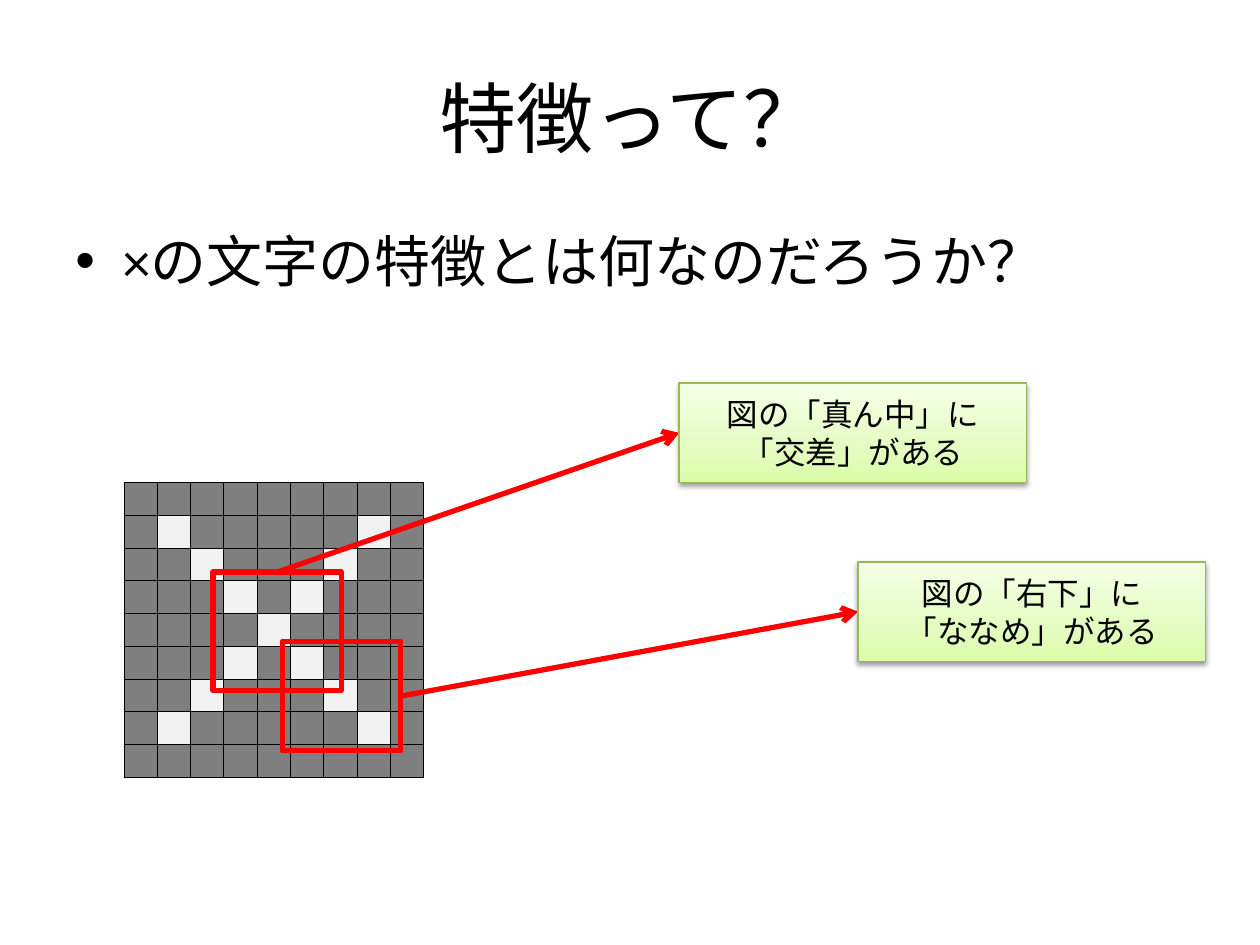
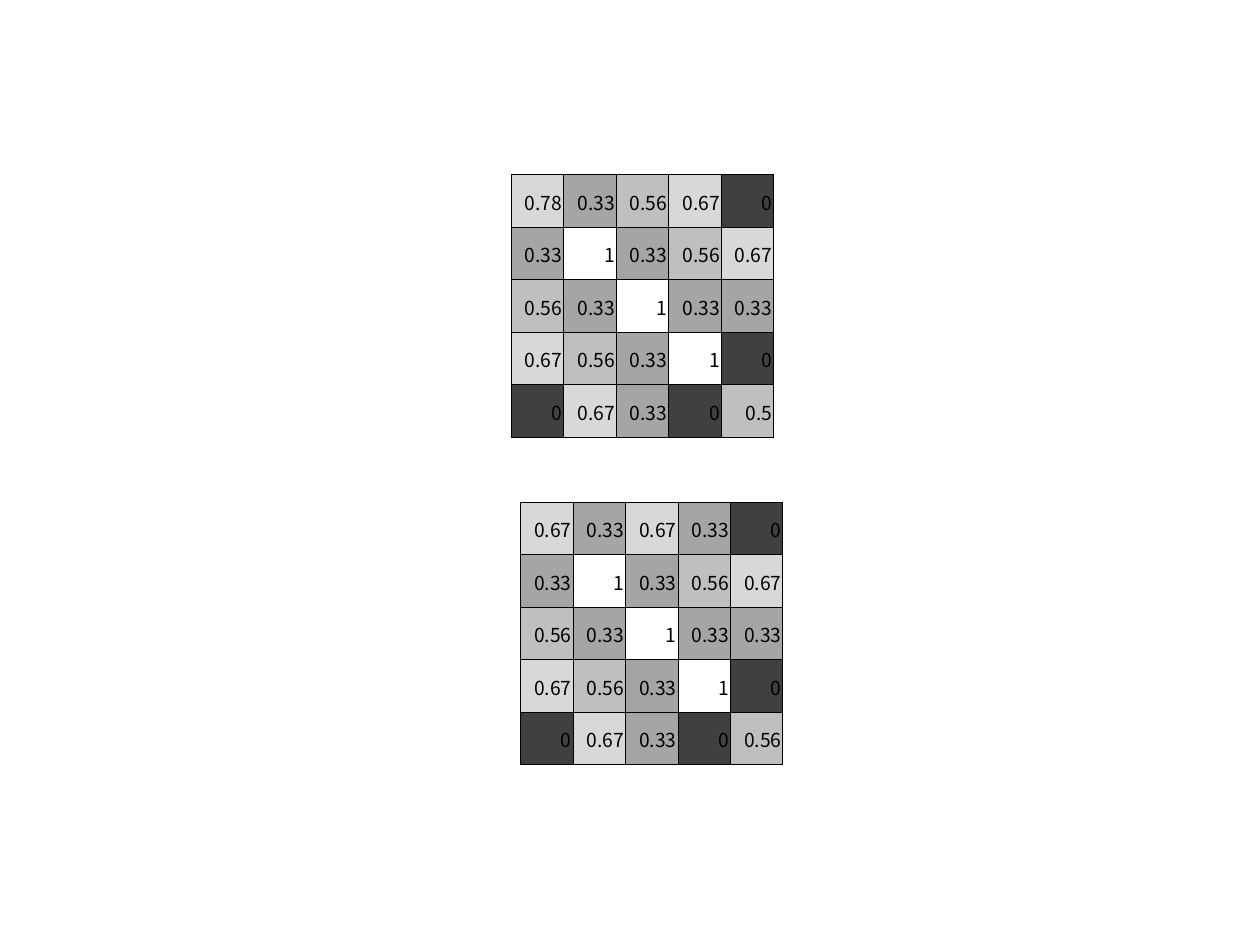
"""Builds two slides on the features of the letter × and its feature maps."""
from lxml import etree
from pptx import Presentation
from pptx.dml.color import RGBColor
from pptx.enum.shapes import MSO_CONNECTOR, MSO_SHAPE
from pptx.enum.text import MSO_ANCHOR, PP_ALIGN
from pptx.oxml.ns import qn
from pptx.util import Pt

STRAIGHT = MSO_CONNECTOR.STRAIGHT
RECTANGLE = MSO_SHAPE.RECTANGLE
MIDDLE = MSO_ANCHOR.MIDDLE
LEFT, CENTER, RIGHT = PP_ALIGN.LEFT, PP_ALIGN.CENTER, PP_ALIGN.RIGHT
TOP_SIDE, LEFT_SIDE, RIGHT_SIDE = 0, 1, 3

BLACK = RGBColor(0x00, 0x00, 0x00)
RED = RGBColor(0xFF, 0x00, 0x00)
GREEN_EDGE = RGBColor(0x98, 0xB9, 0x55)
INK = RGBColor(0xF2, 0xF2, 0xF2)
PAPER = RGBColor(0x7F, 0x7F, 0x7F)
DARK = RGBColor(0x40, 0x40, 0x40)
GRAY = RGBColor(0xA5, 0xA5, 0xA5)
SILVER = RGBColor(0xBF, 0xBF, 0xBF)
PALE = RGBColor(0xD8, 0xD8, 0xD8)
GREEN_STOPS = [
    (0, RGBColor(0xDA, 0xFD, 0xA7)),
    (35000, RGBColor(0xE4, 0xFC, 0xC2)),
    (100000, RGBColor(0xF5, 0xFF, 0xE7)),
]
SCORE_FILLS = {"0": DARK, "0.33": GRAY, "0.5": SILVER, "0.56": SILVER,
               "0.67": PALE, "0.78": PALE, "1": None}
TEXT_FONT, SCORE_FONT = "Calibri", "Noto Sans CJK JP"


def add_text(frame, lines, size, align, font=TEXT_FONT):
    frame.text = "\n".join(lines)
    for para in frame.paragraphs:
        para.alignment = align
        para.font.size = Pt(size)
        para.font.name = font
        para.font.color.rgb = BLACK


def add_grid(page, left, top, width, height, cells):
    count = len(cells)
    table = page.shapes.add_table(count, count, Pt(left), Pt(top), Pt(width), Pt(height)).table
    table.first_row = table.horz_banding = False
    for row, row_cells in enumerate(cells):
        table.rows[row].height = Pt(height / count)
        table.columns[row].width = Pt(width / count)
        for column, (label, fill) in enumerate(row_cells):
            cell = table.cell(row, column)
            cell.vertical_anchor = MIDDLE
            cell.margin_left = cell.margin_right = cell.margin_top = Pt(0.75)
            cell.margin_bottom = Pt(0)
            if label:
                add_text(cell.text_frame, [label], 11, RIGHT, SCORE_FONT)
            else:
                etree.SubElement(cell.text_frame.paragraphs[0]._p, qn("a:endParaRPr"), sz="800")
            properties = cell._tc.get_or_add_tcPr()
            for side in ("a:lnL", "a:lnR", "a:lnT", "a:lnB"):
                border = etree.SubElement(properties, qn(side), w=str(Pt(0.5)))
                solid = etree.SubElement(border, qn("a:solidFill"))
                etree.SubElement(solid, qn("a:srgbClr"), val=str(BLACK))
            if fill is None:
                cell.fill.background()
            else:
                cell.fill.solid()
                cell.fill.fore_color.rgb = fill


deck = Presentation()
deck.slide_width, deck.slide_height = Pt(720), Pt(540)
blank = deck.slide_layouts[6]

page = deck.slides.add_slide(blank)
title = page.shapes.add_textbox(Pt(36), Pt(21.6), Pt(648), Pt(90)).text_frame
title.word_wrap = True
title.vertical_anchor = MIDDLE
add_text(title, ["特徴って？"], 44, CENTER)

body = page.shapes.add_textbox(Pt(36), Pt(126), Pt(648), Pt(356.4)).text_frame
body.word_wrap = True
add_text(body, ["×の文字の特徴とは何なのだろうか？"], 32, LEFT)
question = body.paragraphs[0]
question.space_before = Pt(6.4)
properties = question._p.get_or_add_pPr()
properties.set("marL", str(Pt(27)))
properties.set("indent", str(Pt(-27)))
bullet_font = etree.Element(qn("a:buFont"), typeface="Arial")
bullet = etree.Element(qn("a:buChar"), char="•")
default_font = properties.find(qn("a:defRPr"))
default_font.addprevious(bullet_font)
default_font.addprevious(bullet)

letter = [[("", INK if 0 < row < 8 and column in (row, 8 - row) else PAPER)
           for column in range(9)] for row in range(9)]
add_grid(page, 70.8, 275.8, 171.4, 168.6, letter)

features = [
    ((121.7, 326.9, 73.4, 67.7), TOP_SIDE, (388.1, 218.9), ["図の「真ん中」に", "「交差」がある"]),
    ((161.3, 366.5, 67.7, 62.6), RIGHT_SIDE, (490.3, 321.1), ["図の「右下」に", "「ななめ」がある"]),
]
frames = []
for bounds, *_ in features:
    frame = page.shapes.add_shape(RECTANGLE, *map(Pt, bounds))
    frame.shadow.inherit = False
    frame.fill.background()
    frame.line.color.rgb = RED
    frame.line.width = Pt(3)
    frames.append(frame)

arrows = []
for frame, (_, side, (left, top), _) in zip(frames, features):
    arrow = page.shapes.add_connector(STRAIGHT, frame.left, frame.top, Pt(left), Pt(top))
    arrow.begin_connect(frame, side)
    arrow.line.color.rgb = RED
    arrow.line.width = Pt(3)
    etree.SubElement(arrow.line._get_or_add_ln(), qn("a:tailEnd"), type="arrow")
    etree.SubElement(arrow._element.spPr, qn("a:effectLst"))
    arrows.append(arrow)

for arrow, (_, _, (left, top), lines) in zip(arrows, features):
    callout = page.shapes.add_shape(RECTANGLE, Pt(left), Pt(top), Pt(198.7), Pt(56.9))
    callout.fill.gradient()
    callout.fill.gradient_angle = 90
    stops = callout._element.spPr.find(".//" + qn("a:gsLst"))
    for stop in list(stops):
        stops.remove(stop)
    for position, color in GREEN_STOPS:
        stop = etree.SubElement(stops, qn("a:gs"), pos=str(position))
        etree.SubElement(stop, qn("a:srgbClr"), val=str(color))
    callout.line.color.rgb = GREEN_EDGE
    callout.line.width = Pt(0.75)
    callout.shadow.inherit = False
    effects = callout._element.spPr.find(qn("a:effectLst"))
    shadow = etree.SubElement(effects, qn("a:outerShdw"), blurRad=str(Pt(3.1)),
                              dist=str(Pt(1.6)), dir="5400000", rotWithShape="0")
    shade = etree.SubElement(shadow, qn("a:srgbClr"), val=str(BLACK))
    etree.SubElement(shade, qn("a:alpha"), val="38000")
    callout.text_frame.vertical_anchor = MIDDLE
    add_text(callout.text_frame, lines, 18, CENTER)
    arrow.end_connect(callout, LEFT_SIDE)

page = deck.slides.add_slide(blank)
shared_rows = ["0.33 1 0.33 0.56 0.67", "0.56 0.33 1 0.33 0.33", "0.67 0.56 0.33 1 0"]
score_maps = [
    (297.4, 287, "0.67 0.33 0.67 0.33 0", "0 0.67 0.33 0 0.56"),
    (292.1, 99.8, "0.78 0.33 0.56 0.67 0", "0 0.67 0.33 0 0.5"),
]
for left, top, first_row, last_row in score_maps:
    scores = [[(score, SCORE_FILLS[score]) for score in row.split()]
              for row in [first_row, *shared_rows, last_row]]
    add_grid(page, left, top, 150, 150, scores)

deck.save("out.pptx")
